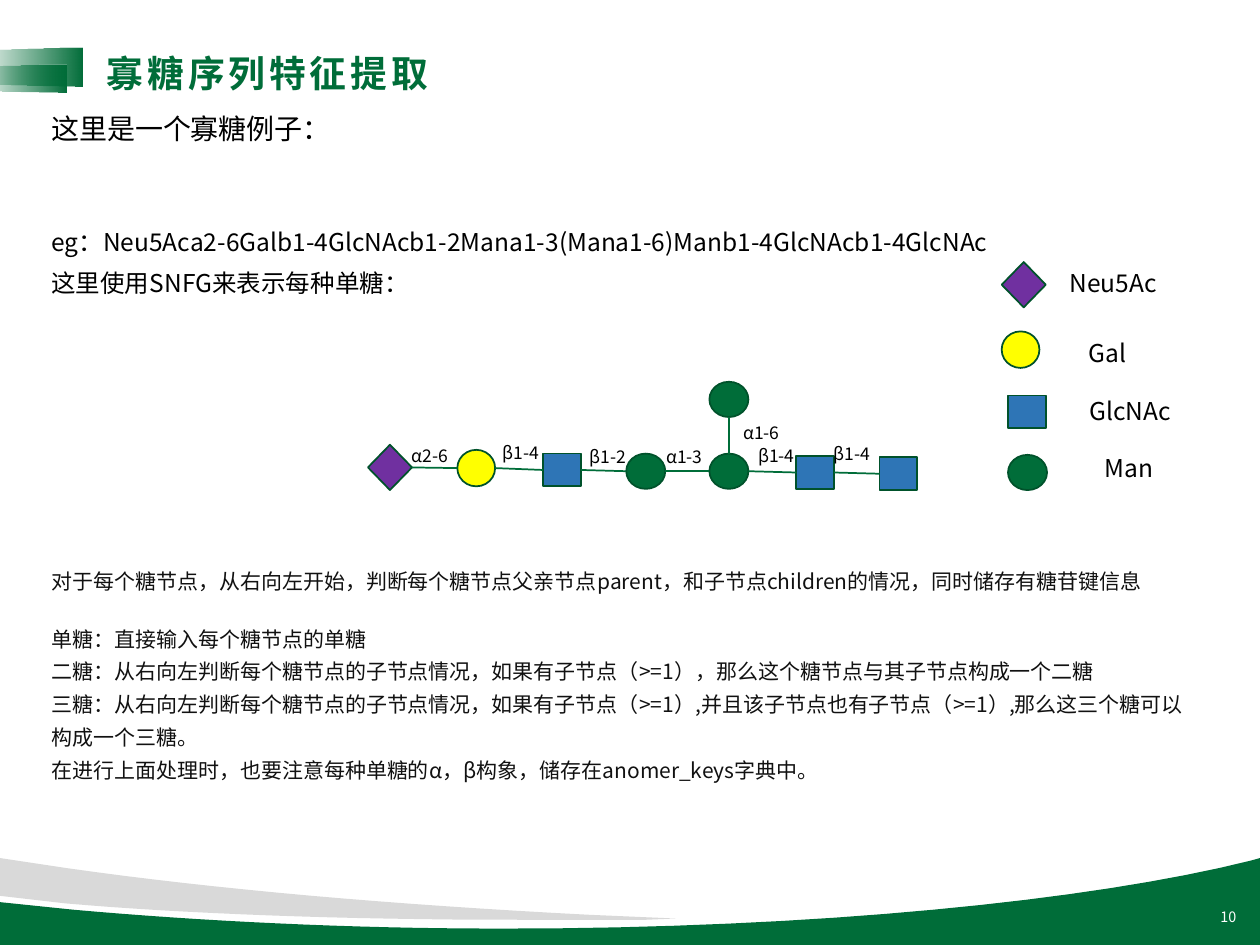
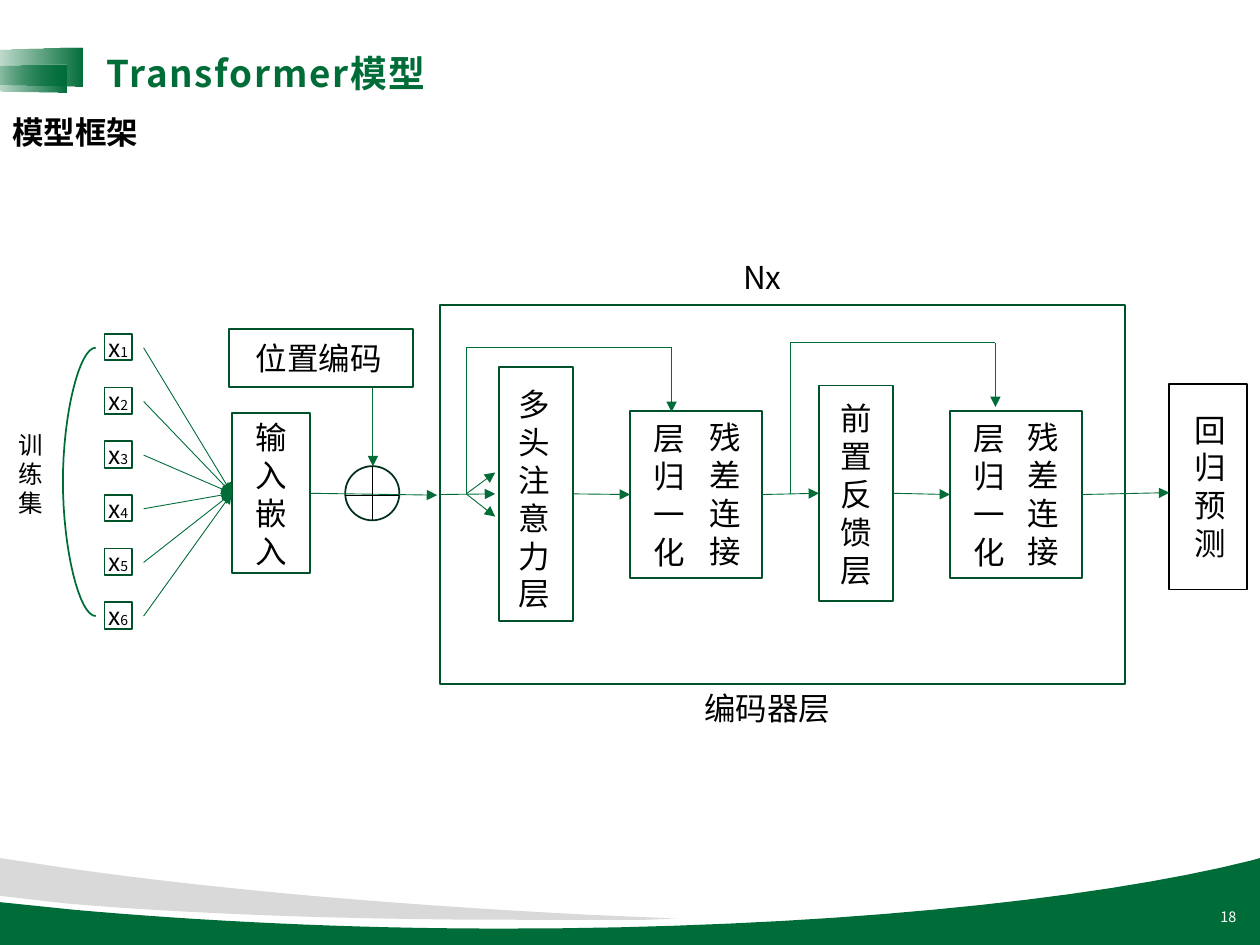
from lxml.etree import SubElement
from pptx import Presentation
from pptx.dml.color import RGBColor
from pptx.enum.shapes import MSO_CONNECTOR, MSO_SHAPE
from pptx.enum.text import MSO_ANCHOR, PP_ALIGN
from pptx.oxml.ns import qn
from pptx.util import Cm, Pt

FONT = "Noto Sans CJK SC"
HUES = {
    "green": "006D39", "edge": "00522B", "dark": "003019", "grey": "D9D9D9",
    "black": "000000", "ink": "111111", "white": "FFFFFF",
    "blue": "2E75B6", "yellow": "FFFF00", "purple": "7030A0",
}
RECT, OVAL, KITE = MSO_SHAPE.RECTANGLE, MSO_SHAPE.OVAL, MSO_SHAPE.DIAMOND
TOP, LEFT, BASE, RIGHT = range(4)
HILL = [(10, 6.81), (10, 7.5), (0, 7.5), (0, 7.16), (0.58, 7.22),
        (1.59, 7.31, 2.76, 7.37, 3.99, 7.37), (6.47, 7.37, 8.65, 7.15, 9.93, 6.83)]
WAVE = [(0, 6.81), (0.53, 6.89), (1.72, 7.06, 3.12, 7.18, 4.67, 7.26),
        (5.36, 7.29), (5.13, 7.3), (4.8, 7.3, 4.46, 7.3, 4.11, 7.3),
        (2.71, 7.3, 1.44, 7.25, 0.52, 7.17), (0, 7.11)]
BRACE = [(0.76, 2.76), (0.63, 2.76, 0.5, 3.29, 0.5, 3.82),
         (0.5, 4.36, 0.63, 4.89, 0.76, 4.89)]


def inch(size):
    return Cm(2.54 * size)


def hue(name):
    return RGBColor.from_string(HUES[name])


def trace(path, steps=16):
    spots = [path[0]]
    for part in path[1:]:
        if len(part) == 2:
            spots.append(part)
            continue
        knots = [spots[-1], part[:2], part[2:4], part[4:]]
        for step in range(1, steps + 1):
            t = step / steps
            parts = ((1 - t) ** 3, 3 * t * (1 - t) ** 2, 3 * t * t * (1 - t), t ** 3)
            spots.append(tuple(sum(w * k[axis] for w, k in zip(parts, knots))
                               for axis in (0, 1)))
    return [(inch(x), inch(y)) for x, y in spots]


class Deck:
    def __init__(self):
        self.show = Presentation()
        self.show.slide_width, self.show.slide_height = inch(10), inch(7.5)
        self.shapes = None

    def page(self, title, number, gap):
        self.shapes = self.show.slides.add_slide(self.show.slide_layouts[6]).shapes
        self.free(HILL, "green")
        self.free(WAVE, "grey")
        self.fade(0.06, 0.09, 0.31, 0.88)
        self.fade(0.05, 0.26, 0.22, 0.73)
        self.text(title, 0.75, 0.35, 5.44, 0.45, 21, "green", bold=True, gap=gap)
        self.text(number, 7.66, 7.08, 2.25, 0.4, 8.2, "white",
                  side=PP_ALIGN.RIGHT, anchor=MSO_ANCHOR.MIDDLE)

    def paint(self, shape, fill=None, line=None):
        shape.shadow.inherit = False
        for part, name in ((shape.fill, fill), (shape.line.fill, line)):
            if name:
                part.solid()
                part.fore_color.rgb = hue(name)
            else:
                part.background()
        if line:
            shape.line.width = Pt(1)
        return shape

    def free(self, path, fill=None, line=None):
        spots = trace(path)
        form = self.shapes.build_freeform(*spots[0], scale=1.0)
        form.add_line_segments(spots[1:], close=bool(fill))
        return self.paint(form.convert_to_shape(), fill, line)

    def fade(self, x, y, w, h):
        shape = self.shape(MSO_SHAPE.TRAPEZOID, x, y, w, h, line=None)
        shape.adjustments[0] = 0.07
        shape.rotation = 270
        shape.fill.gradient()
        shape.fill.gradient_angle = 0
        for stop in shape.fill.gradient_stops:
            stop.color.rgb = hue("green")
        grad = shape._element.spPr.find(qn("a:gradFill"))
        grad.set("rotWithShape", "0")
        SubElement(next(grad.iter(qn("a:srgbClr"))), qn("a:alpha"), val="0")

    def shape(self, kind, x, y, w, h, fill=None, line="edge"):
        shape = self.shapes.add_shape(kind, inch(x), inch(y), inch(w), inch(h))
        return self.paint(shape, fill, line)

    def style(self, para, size, color, bold, gap):
        font = para.font
        font.size, font.bold, font.name = Pt(size), bold, FONT
        font.color.rgb = hue(color)
        base = para._p.pPr.find(qn("a:defRPr"))
        SubElement(base, qn("a:ea"), typeface=FONT)
        if gap:
            base.set("spc", str(gap))

    def text(self, words, x, y, w, h, size, color="black", bold=False, gap=0,
             side=PP_ALIGN.LEFT, anchor=MSO_ANCHOR.TOP, pitch=1.2):
        frame = self.shapes.add_textbox(inch(x), inch(y), inch(w), inch(h)).text_frame
        frame.word_wrap = True
        frame.vertical_anchor = anchor
        frame.text = words
        for para in frame.paragraphs:
            para.alignment = side
            para.line_spacing = Pt(pitch * size)
            self.style(para, size, color, bold, gap)
        return frame

    def spot(self, end):
        first, last = end
        if isinstance(first, (int, float)):
            return inch(first), inch(last)
        across, down = {TOP: (1, 0), LEFT: (0, 1), BASE: (1, 2), RIGHT: (2, 1)}[last]
        return (first.left + first.width * across // 2,
                first.top + first.height * down // 2)

    def line(self, start, stop, width=0.5, color="green", arrow=False):
        line = self.shapes.add_connector(
            MSO_CONNECTOR.STRAIGHT, *self.spot(start), *self.spot(stop))
        for (first, side), join in ((start, line.begin_connect), (stop, line.end_connect)):
            if getattr(first, "auto_shape_type", None) in (RECT, KITE):
                join(first, side)
        line.line.width = Pt(width)
        line.line.color.rgb = hue(color)
        if arrow:
            SubElement(line.line._get_or_add_ln(), qn("a:tailEnd"), type="triangle")
        SubElement(line._element.spPr, qn("a:effectLst"))

    def arrow(self, start, stop):
        self.line(start, stop, arrow=True)


SUGARS = {
    "Neu5Ac": (KITE, "purple", 0.35, 0.36),
    "Gal": (OVAL, "yellow", 0.3, 0.29),
    "GlcNAc": (RECT, "blue", 0.3, 0.26),
    "Man": (OVAL, "green", 0.31, 0.28),
}


def sugar(deck, name, x, y):
    kind, fill, w, h = SUGARS[name]
    return deck.shape(kind, x, y, w, h, fill)


def glycan(deck):
    deck.page("寡糖序列特征提取", "10", 220)
    deck.text("这里是一个寡糖例子：", 0.31, 0.84, 7.71, 0.37, 16)
    deck.text("eg：Neu5Aca2-6Galb1-4GlcNAcb1-2Mana1-3(Mana1-6)Manb1-4GlcNAcb1-4GlcNAc",
              0.31, 1.75, 8.57, 0.34, 14)
    deck.text("这里使用SNFG来表示每种单糖：", 0.31, 2.08, 5, 0.34, 14)

    chain = [sugar(deck, *node) for node in (
        ("Neu5Ac", 2.92, 3.53), ("Gal", 3.63, 3.57), ("GlcNAc", 4.31, 3.6),
        ("Man", 4.97, 3.6), ("Man", 5.63, 3.6), ("GlcNAc", 6.32, 3.62),
        ("GlcNAc", 6.98, 3.63))]
    for near, far in zip(chain, chain[1:]):
        deck.line((near, RIGHT), (far, LEFT), 1)
    branch = sugar(deck, "Man", 5.63, 3.03)
    deck.line((branch, BASE), (chain[4], TOP), 1)
    for bond, x, y in (("α2-6", 3.17, 3.48), ("β1-4", 3.89, 3.46), ("β1-2", 4.58, 3.49),
                       ("α1-3", 5.19, 3.49), ("α1-6", 5.8, 3.3), ("β1-4", 5.92, 3.48),
                       ("β1-4", 6.52, 3.47)):
        deck.text(bond, x, y, 0.57, 0.27, 10)

    for name, x, y, left, top in (
            ("Neu5Ac", 7.95, 2.08, 8.39, 2.08), ("Gal", 7.95, 2.63, 8.54, 2.63),
            ("GlcNAc", 8, 3.14, 8.55, 3.09), ("Man", 8, 3.61, 8.67, 3.55)):
        sugar(deck, name, x, y)
        deck.text(name, left, top, 1.16, 0.34, 14)

    notes = deck.text("\n".join((
        "对于每个糖节点，从右向左开始，判断每个糖节点父亲节点parent，和子节点children的情况，同时储存有糖苷键信息",
        "单糖：直接输入每个糖节点的单糖",
        "二糖：从右向左判断每个糖节点的子节点情况，如果有子节点（>=1），那么这个糖节点与其子节点构成一个二糖",
        "三糖：从右向左判断每个糖节点的子节点情况，如果有子节点（>=1）,并且该子节点也有子节点（>=1）,那么这三个糖可以构成一个三糖。",
        "在进行上面处理时，也要注意每种单糖的α，β构象，储存在anomer_keys字典中。",
    )), 0.31, 4.46, 9.23, 2.02, 12, "ink", pitch=1.56)
    notes.paragraphs[0].line_spacing = Pt(14.4)
    notes.paragraphs[1].space_before = Pt(14.4)


def model(deck):
    deck.page("Transformer模型", "18", 100)
    deck.text("模型框架", 0, 0.85, 7.71, 0.4, 18, bold=True)
    deck.text("训练集", 0.05, 3.36, 0.49, 0.79, 14)
    deck.free(BRACE, line="green")

    embed = deck.shape(RECT, 1.84, 3.28, 0.62, 1.27)
    for index in range(6):
        drop = index * 2.13 / 5
        deck.shape(RECT, 0.83, 2.65 + drop, 0.22, 0.21)
        para = deck.text("x", 0.76, 2.59 + drop, 0.38, 0.34, 14).paragraphs[0]
        small = para.add_run()
        small.text = str(index + 1)
        small.font.size = Pt(8)
        deck.arrow((1.14, 2.76 + drop), (embed, LEFT))

    core = deck.shape(RECT, 3.49, 2.42, 5.44, 3.01)
    heads = deck.shape(RECT, 3.96, 2.91, 0.59, 2.02)
    feed = deck.shape(RECT, 6.5, 3.06, 0.59, 1.71)
    norms = [deck.shape(RECT, x, 3.26, 1.05, 1.33) for x in (5, 7.54)]
    deck.shape(RECT, 9.28, 3.05, 0.62, 1.63, line="black")
    deck.shape(RECT, 1.82, 2.61, 1.46, 0.46)
    deck.shape(OVAL, 2.74, 3.7, 0.43, 0.43, line="dark")

    for words, x, y, w, h in (
            ("输入嵌入", 1.93, 3.27, 0.43, 1.31), ("位置编码", 1.93, 2.64, 1.45, 0.4),
            ("多头注意力层", 4.02, 3.01, 0.43, 1.92), ("前置反馈层", 6.57, 3.12, 0.43, 1.62),
            ("层归一化", 5.09, 3.28, 0.43, 1.31), ("残差连接", 5.53, 3.27, 0.43, 1.31),
            ("层归一化", 7.63, 3.28, 0.43, 1.31), ("残差连接", 8.06, 3.27, 0.43, 1.31),
            ("回归预测", 9.38, 3.21, 0.43, 1.31),
            ("编码器层", 5.49, 5.42, 1.39, 0.4), ("Nx", 5.8, 2, 1.39, 0.4)):
        deck.text(words, x, y, w, h, 18)

    deck.arrow((2.96, 3.08), (2.96, 3.7))
    deck.arrow((embed, RIGHT), (3.47, 3.93))
    deck.line((2.74, 3.93), (3.17, 3.93), color="black")
    deck.line((2.96, 3.7), (2.96, 4.13), color="black")
    deck.arrow((core, LEFT), (3.93, 3.92))
    for y in (3.75, 4.1):
        deck.arrow((3.7, 3.92), (3.93, y))
    deck.arrow((heads, RIGHT), (norms[0], LEFT))
    deck.arrow((norms[0], RIGHT), (feed, LEFT))
    deck.arrow((feed, RIGHT), (norms[1], LEFT))
    deck.arrow((norms[1], RIGHT), (9.28, 3.91))
    for x, far, y, end in ((3.7, 5.33, 2.76, 3.27), (6.27, 7.9, 2.72, 3.23)):
        deck.line((x, 3.92), (x, y))
        deck.line((x, y), (far, y))
        deck.arrow((far, y), (far, end))


def main():
    deck = Deck()
    glycan(deck)
    model(deck)
    deck.show.save("out.pptx")


if __name__ == "__main__":
    main()
